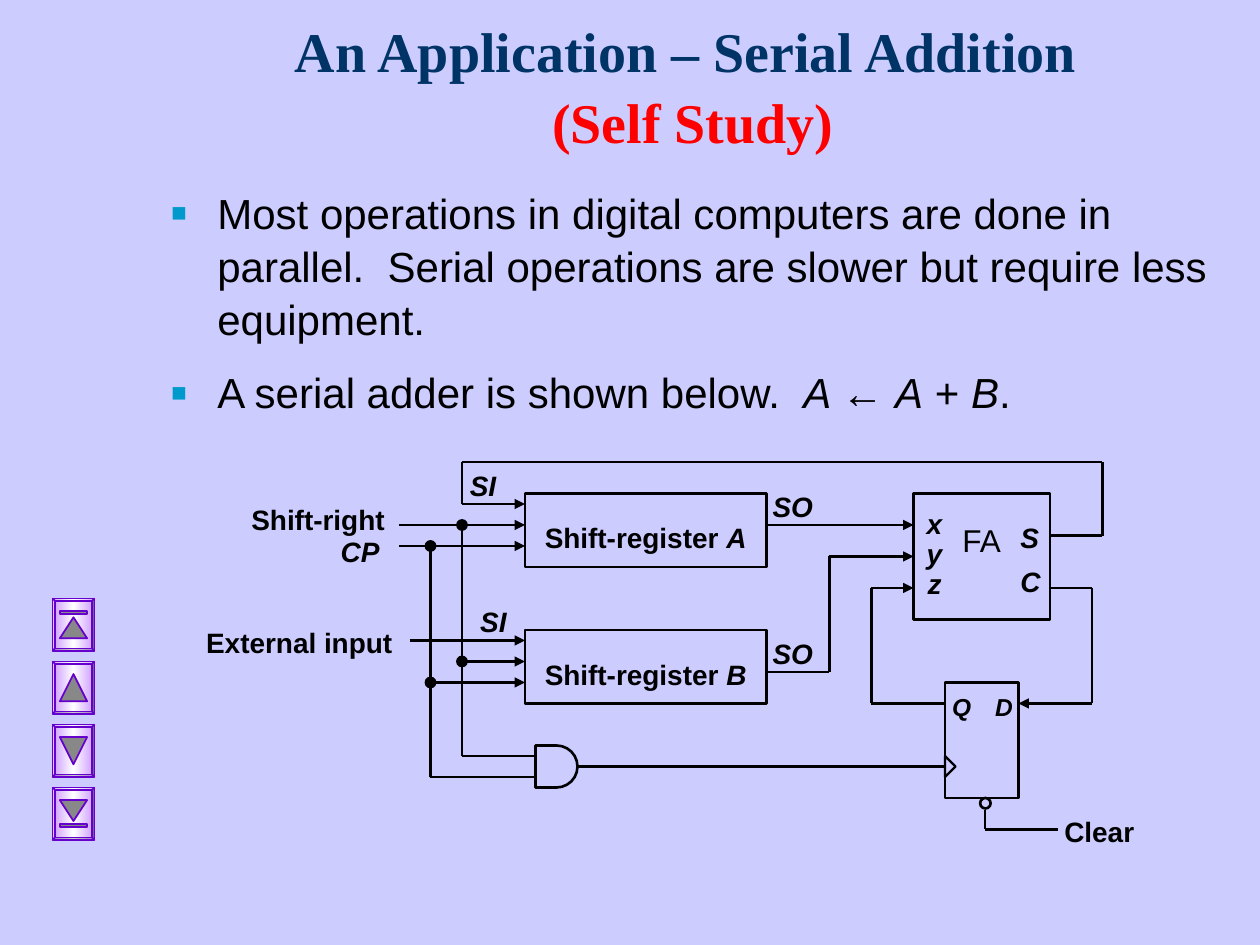
from copy import deepcopy
from dataclasses import dataclass

from lxml.etree import SubElement
from pptx import Presentation
from pptx.dml.color import RGBColor
from pptx.enum.shapes import MSO_CONNECTOR, MSO_SHAPE as Shape
from pptx.enum.text import MSO_ANCHOR, MSO_AUTO_SIZE, PP_ALIGN as Align
from pptx.oxml.ns import qn
from pptx.util import Cm, Pt


@dataclass(frozen=True)
class Theme:
    background: str = "CCCCFF"
    ink: str = "000000"
    title: str = "003366"
    accent: str = "FF0000"
    bullet: str = "0099CC"
    button_edge: str = "6600CC"
    button_face: tuple = ("CC99FF", "FFFFFF", "CC99FF")
    arrow: str = "888888"
    serif: str = "Times New Roman"
    sans: str = "Arial"
    title_size: int = 32
    body_size: int = 24
    adder_size: int = 18
    label_size: int = 16
    pin_size: int = 14
    outline: float = 1.5
    wire: float = 1.25


def grid(steps):
    """Length of a number of grid steps, twelve to the inch."""
    return Cm(steps * 2.54 / 12)


class Board:
    def __init__(self, slide, theme):
        self.slide, self.theme = slide, theme
        fill = slide.background.fill
        fill.solid()
        fill.fore_color.rgb = RGBColor.from_string(theme.background)

    def font(self, target, color=None, **values):
        for name, value in values.items():
            setattr(target, name, value)
        target.color.rgb = RGBColor.from_string(color or self.theme.ink)

    def line(self, shape, color, width):
        shape.line.color.rgb = RGBColor.from_string(color)
        shape.line.width = Pt(width)

    def fill(self, shape, color):
        shape.fill.solid()
        shape.fill.fore_color.rgb = RGBColor.from_string(color)

    def place(self, placeholder, left, top, width, height):
        box = dict(left=left, top=top, width=width, height=height)
        for side, steps in box.items():
            setattr(placeholder, side, grid(steps))
        frame = placeholder.text_frame
        frame.auto_size = MSO_AUTO_SIZE.NONE
        return frame

    def title(self, main, note):
        theme = self.theme
        frame = self.place(self.slide.shapes.title, 15, 3, 102, 10)
        frame.vertical_anchor = MSO_ANCHOR.MIDDLE
        heading = frame.paragraphs[0]
        heading.alignment, heading.line_spacing = Align.CENTER, 1.05
        style = dict(name=theme.serif, size=Pt(theme.title_size), bold=True)
        for text, color in ((main, theme.title), (note, theme.accent)):
            if heading.runs:
                heading.add_line_break()
            run = heading.add_run()
            run.text = text
            self.font(run.font, color, **style)

    def bullets(self, items):
        theme = self.theme
        frame = self.place(self.slide.placeholders[1], 15, 17, 102, 24)
        for index, runs in enumerate(items):
            item = frame.add_paragraph() if index else frame.paragraphs[0]
            item.line_spacing, item.space_before = 1.05, Pt(12 if index else 0)
            props = item._p.get_or_add_pPr()
            props.set("marL", str(grid(4.5)))
            props.set("indent", str(-grid(4.5)))
            SubElement(SubElement(props, qn("a:buClr")), qn("a:srgbClr"), val=theme.bullet)
            SubElement(props, qn("a:buSzPct"), val="120000")
            SubElement(props, qn("a:buFont"), typeface=theme.sans)
            SubElement(props, qn("a:buChar"), char="▪")
            self.add_runs(item, runs, theme.body_size, bold=False)

    def add_runs(self, paragraph, runs, size, bold=True):
        """Add runs, each a (text, italic) pair."""
        for text, italic in runs:
            run = paragraph.add_run()
            run.text = text
            self.font(run.font, name=self.theme.sans, size=Pt(size),
                      bold=bold, italic=italic)

    def label(self, box, *lines, size=None, bold=True, align=Align.CENTER,
              spacing=1.0, gap=0):
        frame = self.slide.shapes.add_textbox(*map(grid, box)).text_frame
        frame.word_wrap = True
        for index, runs in enumerate(lines):
            paragraph = frame.add_paragraph() if index else frame.paragraphs[0]
            paragraph.alignment, paragraph.line_spacing = align, spacing
            paragraph.space_before = Pt(gap if index else 0)
            self.add_runs(paragraph, runs, size or self.theme.label_size, bold)

    def block(self, kind, box, fill=None, width=None, rotation=0):
        shape = self.slide.shapes.add_shape(kind, *map(grid, box))
        shape.shadow.inherit = False
        shape.rotation = rotation
        if fill:
            self.fill(shape, fill)
        else:
            shape.fill.background()
        self.line(shape, self.theme.ink, width or self.theme.outline)

    def junction(self, x, y):
        self.block(Shape.OVAL, (x - 0.5, y - 0.5, 1, 1), self.theme.ink, 0.75)

    def wire(self, *points, arrow=False):
        for start, end in zip(points, points[1:]):
            segment = self.slide.shapes.add_connector(
                MSO_CONNECTOR.STRAIGHT, *map(grid, start + end))
            self.line(segment, self.theme.ink, self.theme.wire)
            props = segment._element.spPr
            if arrow and end == points[-1]:
                SubElement(props.find(qn("a:ln")), qn("a:tailEnd"), type="triangle")
            SubElement(props, qn("a:effectLst"))

    def button(self, top, outlines):
        """Bevelled button with an arrow; outlines are offsets from its top centre."""
        theme, shapes = self.theme, self.slide.shapes
        frame = shapes.add_shape(Shape.BEVEL, *map(grid, (5, top, 4, 5)))
        frame.shadow.inherit = False
        frame.adjustments[0] = 0.06
        frame.fill.gradient()
        frame.fill.gradient_angle = 0
        stops = frame._element.spPr.find(".//" + qn("a:gsLst"))
        middle = deepcopy(stops[0])
        middle.set("pos", "50000")
        stops.insert(1, middle)
        for stop, color in zip(frame.fill.gradient_stops, theme.button_face):
            stop.color.rgb = RGBColor.from_string(color)
        self.line(frame, theme.button_edge, 1)

        contours = [[(grid(7 + x), grid(top + y)) for x, y in outline]
                    for outline in outlines]
        builder = shapes.build_freeform(*contours[0][0], scale=1.0)
        builder.add_line_segments(contours[0][1:], close=True)
        for contour in contours[1:]:
            builder.move_to(*contour[0])
            builder.add_line_segments(contour[1:], close=True)
        arrow = builder.convert_to_shape()
        arrow.shadow.inherit = False
        self.fill(arrow, theme.arrow)
        self.line(arrow, theme.button_edge, 1)


def pointer(tip, base):
    return [(0, tip), (1.3, base), (-1.3, base)]


def bar(top, bottom):
    return [(-1.3, top), (1.3, top), (1.3, bottom), (-1.3, bottom)]


def draw_blocks(board):
    for register, top in (("A", 47), ("B", 60)):
        board.block(Shape.RECTANGLE, (50, top, 23, 7))
        board.label((50, top + 2, 23, 4.4), [("Shift-register ", False), (register, True)])
    board.block(Shape.RECTANGLE, (87, 47, 13, 12))
    board.label((90, 49, 7, 4.8), [("FA", False)], size=board.theme.adder_size, bold=False)
    board.label((87, 48, 4, 9.8), *([(pin, True)] for pin in "xyz"), spacing=0.9)
    board.label((96, 49, 4, 8.6), *([(pin, True)] for pin in "SC"), gap=6)
    board.block(Shape.FLOWCHART_DELAY, (51, 71, 4, 4))
    board.block(Shape.RECTANGLE, (90, 65, 7, 11))
    board.block(Shape.ISOSCELES_TRIANGLE, (89.5, 72.5, 2, 1), width=board.theme.wire, rotation=90)
    board.block(Shape.OVAL, (93.35, 76, 1, 1))
    for pin, left in (("Q", 89.5), ("D", 93.6)):
        board.label((left, 65.3, 4.2, 4), [(pin, True)], size=board.theme.pin_size, align=Align.LEFT)
    for text, italic, left, top, width in (
            ("Shift-right", False, 21.8, 47.3, 17), ("CP", True, 30.8, 50.3, 7),
            ("External input", False, 18, 59, 21), ("Clear", False, 99.2, 77, 11),
            ("SI", True, 43, 44, 6), ("SI", True, 44, 57, 6),
            ("SO", True, 72, 46, 7), ("SO", True, 72, 60, 7)):
        board.label((left, top, width, 4.4), [(text, italic)])


def draw_wires(board):
    sum_loop = (100, 51), (105, 51), (105, 44), (44, 44), (44, 48), (50, 48)
    shift_in, clock_in = ((38, 50), (50, 50)), ((38, 52), (50, 52))
    external_in = (39, 61), (50, 61)
    shift_to_b, clock_to_b = ((44, 63), (50, 63)), ((41, 65), (50, 65))
    a_out = (73, 50), (87, 50)
    b_out = (73, 64), (79, 64), (79, 53), (87, 53)
    carry_in = (90, 67), (83, 67), (83, 56), (87, 56)
    carry_out = (100, 56), (104, 56), (104, 67), (97, 67)
    for route in (sum_loop, shift_in, clock_in, external_in, shift_to_b,
                  clock_to_b, a_out, b_out, carry_in, carry_out):
        board.wire(*route, arrow=True)
    shift_to_gate = (44, 50), (44, 72), (51, 72)
    clock_to_gate = (41, 52), (41, 74), (51, 74)
    gate_out = (55, 73), (90, 73)
    clear = (93.85, 77.1), (93.85, 79), (100.8, 79)
    for route in (shift_to_gate, clock_to_gate, gate_out, clear):
        board.wire(*route)
    for x, y in ((44, 50), (41, 52), (44, 63), (41, 65)):
        board.junction(x, y)


def main():
    deck = Presentation()
    deck.slide_width, deck.slide_height = Cm(25.4), Cm(19.05)
    board = Board(deck.slides.add_slide(deck.slide_layouts[1]), Theme())
    board.title("An Application – Serial Addition ", "(Self Study)")
    board.bullets([
        [("Most operations in digital computers are done in parallel.  "
          "Serial operations are slower but require less equipment.", False)],
        [("A serial adder is shown below.  ", False), ("A ", True), ("← ", False),
         ("A", True), (" + ", False), ("B", True), (".", False)],
    ])
    draw_blocks(board)
    draw_wires(board)
    icons = ([pointer(1.8, 3.8), bar(1.2, 1.5)], [pointer(1.2, 3.8)],
             [pointer(3.8, 1.2)], [pointer(3.2, 1.2), bar(3.5, 3.8)])
    for index, outlines in enumerate(icons):
        board.button(57 + 6 * index, outlines)
    deck.save("out.pptx")


if __name__ == "__main__":
    main()
